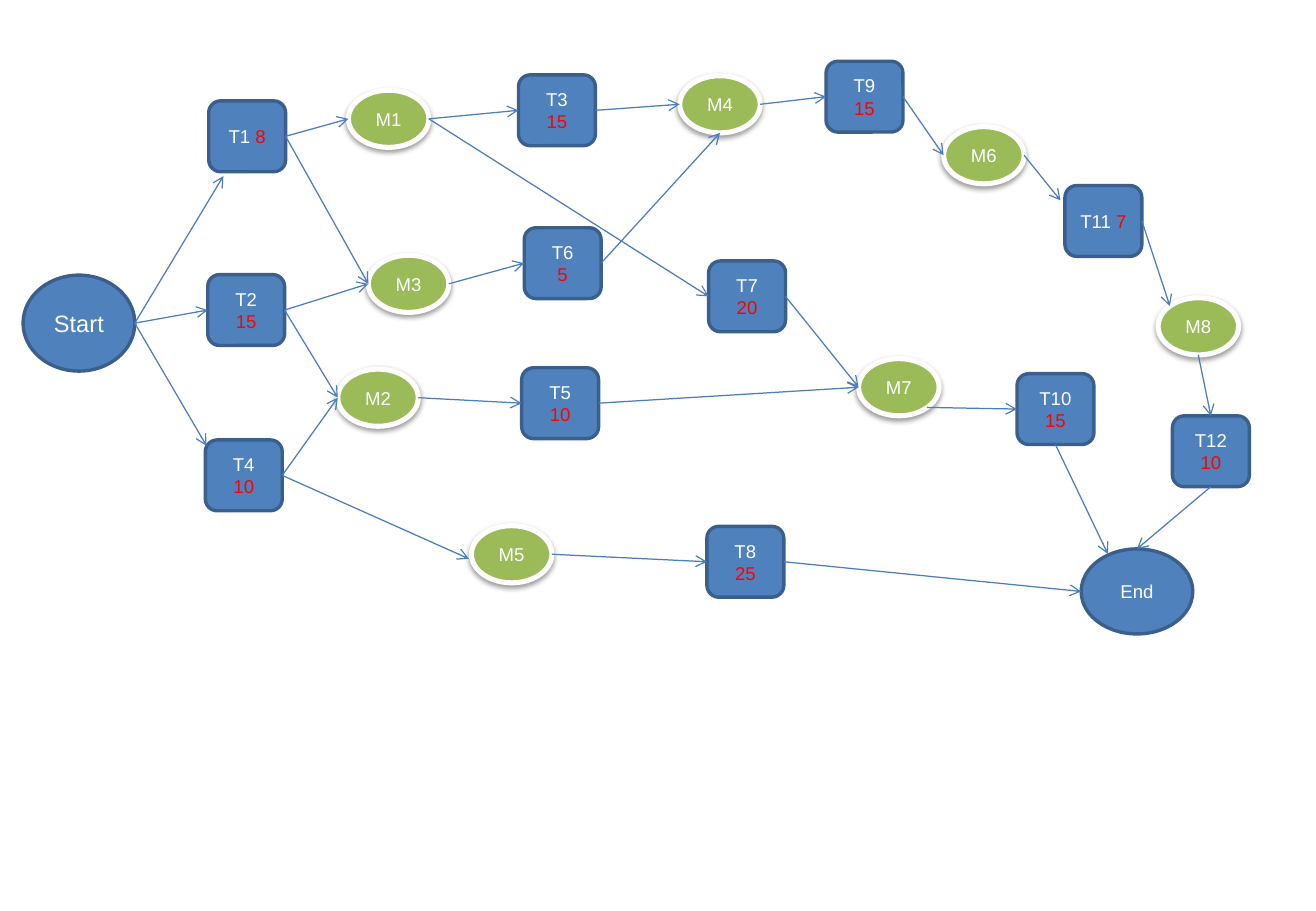
from lxml import etree
from pptx import Presentation
from pptx.dml.color import RGBColor
from pptx.enum.shapes import MSO_CONNECTOR as CONN, MSO_SHAPE as SHAPE
from pptx.enum.text import MSO_ANCHOR as ANCHOR, PP_ALIGN as ALIGN
from pptx.oxml import parse_xml
from pptx.oxml.ns import nsdecls, qn
from pptx.util import Pt

COLORS = {
    "task": "4F81BD", "task_line": "3A5F8C", "milestone": "9BBB59",
    "white": "FFFFFF", "days": "FF0000", "arrow": "4B7EBC",
}
SIDES = {"t": (0, 0.5, 0), "l": (1, 0, 0.5), "b": (2, 0.5, 1), "r": (3, 1, 0.5)}
SHADOW = (
    f'<a:effectLst {nsdecls("a")}>'
    '<a:outerShdw blurRad="39370" dist="20320" dir="5400000" rotWithShape="0">'
    '<a:srgbClr val="000000"><a:alpha val="38000"/></a:srgbClr>'
    '</a:outerShdw></a:effectLst>'
)
TASK_SIZE = (45.6, 42)
MILESTONE_SIZE = (47.7, 33.9)

TASKS = [
    ("T1", "8", 123.7, 59.8), ("T2", "15", 123.1, 162.8),
    ("T3", "15", 307.3, 44.4), ("T4", "10", 121.7, 260.8),
    ("T5", "10", 309.2, 218), ("T6", "5", 310.7, 135),
    ("T7", "20", 420, 154.7), ("T8", "25", 419, 312),
    ("T9", "15", 489.6, 36.3), ("T10", "15", 602.8, 221.5),
    ("T11", "7", 631.2, 110), ("T12", "10", 694.9, 246.5),
]
MILESTONES = [
    ("M1", 206.5, 53.5), ("M2", 200.2, 218.8), ("M3", 218.3, 151.3),
    ("M4", 402.9, 44.9), ("M5", 279.4, 311.6), ("M6", 559.3, 75.1),
    ("M7", 508.9, 212.6), ("M8", 686.4, 176.5),
]
ARROWS = [
    ("Start", "r", "T1", (132.4, 104.4)), ("Start", "r", "T2", "l"),
    ("Start", "r", "T4", (122.4, 264.2)),
    ("T1", "r", "M1", "l"), ("T1", "r", "M3", "l"),
    ("T2", "r", "M3", "l"), ("T2", "r", "M2", "l"),
    ("T4", "r", "M2", "l"), ("T4", "r", "M5", (277.9, 331.2)),
    ("M1", "r", "T3", "l"), ("M1", "r", "T7", "l"),
    ("M3", "r", "T6", "l"), ("M2", "r", "T5", "l"),
    ("T3", "r", "M4", "l"), ("T6", "r", "M4", "b"),
    ("M4", "r", "T9", "l"), ("M5", "r", "T8", "l"),
    ("T7", "r", "M7", "l"), ("T5", "r", "M7", "l"),
    ("M7", (549.4, 241.5), "T10", "l"), ("T9", "r", "M6", "l"),
    ("M6", "r", "T11", (628.6, 118.8)), ("T11", "r", "M8", (693.4, 181.4)),
    ("M8", "b", "T12", "t"), ("T12", "b", "End", "t"),
    ("T10", "b", "End", (656.6, 328.3)), ("T8", "r", "End", "l"),
]


def rgb(name):
    return RGBColor.from_string(COLORS[name])


class Network:
    def __init__(self, slide, font="Arial", size=11):
        self.slide, self.font, self.size = slide, font, size
        self.nodes = {}

    def node(self, kind, name, box, fill, line, width, size=None, days=None):
        sp = self.slide.shapes.add_shape(kind, *map(Pt, box))
        sp.shadow.inherit = False
        sp.fill.solid()
        sp.fill.fore_color.rgb = rgb(fill)
        sp.line.color.rgb = rgb(line)
        sp.line.width = Pt(width)
        tf = sp.text_frame
        tf.word_wrap = True
        tf.vertical_anchor = ANCHOR.MIDDLE
        tf.margin_left = tf.margin_right = Pt(10 if name == "T6" else 7)
        p = tf.paragraphs[0]
        p.alignment = ALIGN.CENTER
        p.font.name, p.font.size = self.font, Pt(size or self.size)
        p.font.color.rgb = rgb("white")
        r = p.add_run()
        r.text = f"{name} " if days else name
        if days:
            r = p.add_run()
            r.text = days
            r.font.color.rgb = rgb("days")
        self.nodes[name] = sp
        return sp

    def task(self, name, days, x, y):
        self.node(SHAPE.ROUNDED_RECTANGLE, name, (x, y, *TASK_SIZE),
                  "task", "task_line", 2, days=days)

    def terminal(self, name, box, size):
        self.node(SHAPE.OVAL, name, box, "task", "task_line", 2, size)

    def milestone(self, name, x, y):
        sp = self.node(SHAPE.OVAL, name, (x, y, *MILESTONE_SIZE),
                       "milestone", "white", 3)
        spPr = sp._element.spPr
        spPr.replace(spPr.find(qn("a:effectLst")), parse_xml(SHADOW))

    def point(self, name, end):
        if isinstance(end, tuple):
            return [Pt(v) for v in end]
        sp = self.nodes[name]
        _, fx, fy = SIDES[end]
        return [int(sp.left + fx * sp.width), int(sp.top + fy * sp.height)]

    def arrow(self, source, start, target, end):
        c = self.slide.shapes.add_connector(
            CONN.STRAIGHT, *self.point(source, start), *self.point(target, end))
        c.line.color.rgb = rgb("arrow")
        c.line.width = Pt(0.75)
        etree.SubElement(c.line._get_or_add_ln(), qn("a:tailEnd"), type="arrow")
        etree.SubElement(c._element.spPr, qn("a:effectLst"))
        for name, side, connect in ((source, start, c.begin_connect),
                                    (target, end, c.end_connect)):
            if name.startswith("T") and side in SIDES:
                connect(self.nodes[name], SIDES[side][0])


def main():
    prs = Presentation()
    prs.slide_width, prs.slide_height = Pt(780), Pt(540)
    s = Network(prs.slides.add_slide(prs.slide_layouts[6]))
    for task in TASKS:
        s.task(*task)
    s.terminal("Start", (13.7, 163.1, 66.2, 56.9), 14)
    s.terminal("End", (640.8, 325.4, 66.2, 50.4), 11)
    for milestone in MILESTONES:
        s.milestone(*milestone)
    for arrow in ARROWS:
        s.arrow(*arrow)
    prs.save("out.pptx")


if __name__ == "__main__":
    main()
